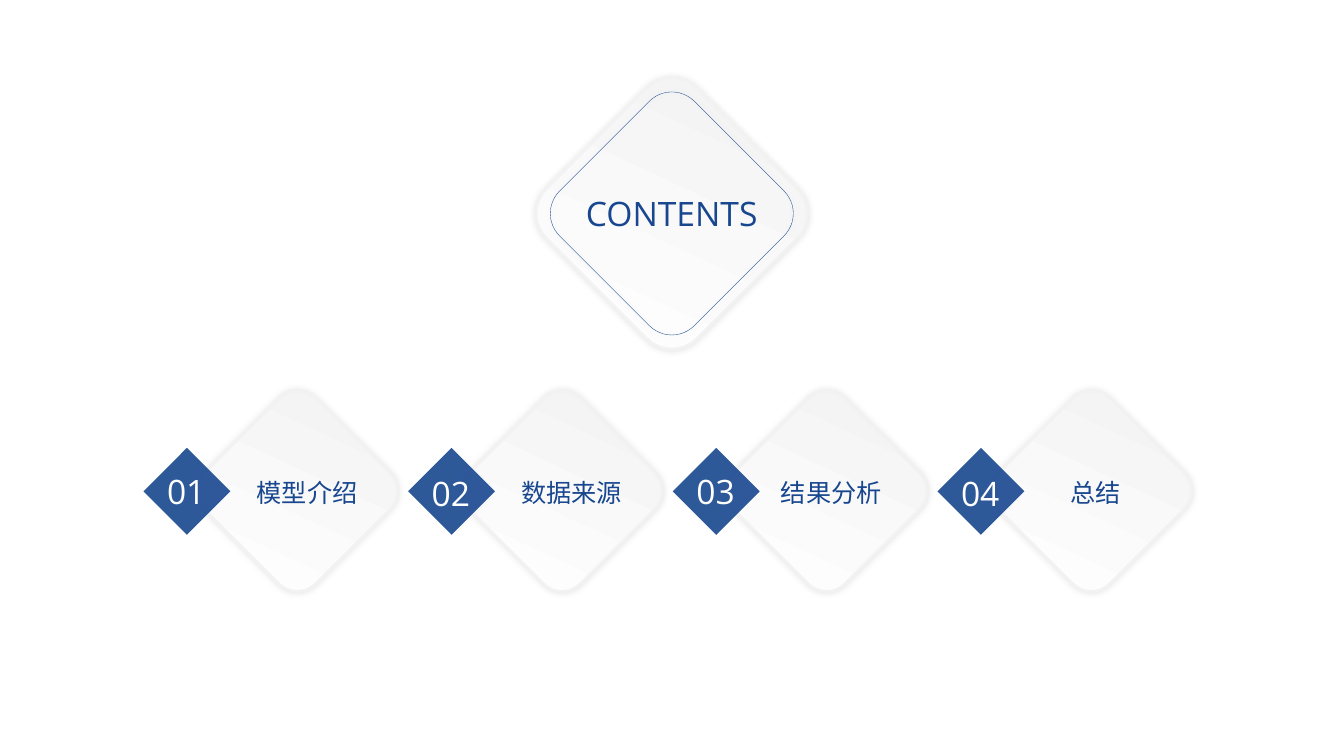
"""Build a contents slide: a title diamond above four numbered section diamonds."""
from copy import deepcopy

from lxml import etree
from pptx import Presentation
from pptx.dml.color import RGBColor
from pptx.enum.shapes import MSO_SHAPE
from pptx.enum.text import MSO_ANCHOR, MSO_AUTO_SIZE, PP_ALIGN
from pptx.oxml.ns import qn
from pptx.util import Cm, Pt

ROUND, RECT = MSO_SHAPE.ROUNDED_RECTANGLE, MSO_SHAPE.RECTANGLE
LEFT, CENTER = PP_ALIGN.LEFT, PP_ALIGN.CENTER
MIDDLE, GROW = MSO_ANCHOR.MIDDLE, MSO_AUTO_SIZE.SHAPE_TO_FIT_TEXT
COLORS = {"blue": "18478F", "white": "FFFFFF", "grey": "F2F2F2", "shadow": "000000"}
FONT = "Open Sans"


def rgb(name):
    return RGBColor.from_string(COLORS[name])


class Deck:
    def __init__(self):
        self.prs = Presentation()
        self.prs.slide_width, self.prs.slide_height = Cm(33.87), Cm(19.05)
        self.s = self.prs.slides.add_slide(self.prs.slide_layouts[6])

    def square(self, kind, cx, cy, size, rotation):
        sp = self.s.shapes.add_shape(
            kind, Cm(cx - size / 2), Cm(cy - size / 2), Cm(size), Cm(size))
        sp.rotation = rotation
        sp.shadow.inherit = False
        return sp

    def glow(self, sp):
        effects = sp._element.spPr.find(qn("a:effectLst"))
        shadow = etree.SubElement(effects, qn("a:outerShdw"), blurRad=str(Pt(5)),
                                  dist="0", dir="0", algn="ctr", rotWithShape="0")
        color = etree.SubElement(shadow, qn("a:srgbClr"), val=COLORS["shadow"])
        etree.SubElement(color, qn("a:alpha"), val="11000")

    def gradient(self, sp):
        sp.fill.gradient()
        sp.fill.gradient_angle = 110
        start, end = sp.fill.gradient_stops
        start.color.rgb, end.color.rgb = rgb("white"), rgb("grey")

        sp.line.width = Pt(2)
        sp.line.fill.solid()
        solid = sp.line._ln.find(qn("a:solidFill"))
        edge = deepcopy(sp._element.spPr.find(qn("a:gradFill")))
        sp.line._ln.replace(solid, edge)
        colors = edge.findall(".//" + qn("a:srgbClr"))
        for color, name in zip(colors, ("grey", "white")):
            color.set("val", COLORS[name])

    def tile(self, cx, cy, size):
        sp = self.square(ROUND, cx, cy, size, 45)
        self.gradient(sp)
        self.glow(sp)

    def frame(self, cx, cy, size):
        sp = self.square(ROUND, cx, cy, size, 45)
        sp.fill.background()
        sp.line.color.rgb = rgb("blue")
        sp.line.width = Pt(0.25)
        self.glow(sp)

    def badge(self, cx, cy, size):
        sp = self.square(RECT, cx, cy, size, 225)
        sp.fill.solid()
        sp.fill.fore_color.rgb = rgb("blue")
        color = sp._element.spPr.find(qn("a:solidFill"))[0]
        etree.SubElement(color, qn("a:alpha"), val="90000")
        sp.line.fill.background()

    def text(self, text, cx, cy, w, h, size, color="blue", align=CENTER, wrap=True):
        sp = self.s.shapes.add_textbox(Cm(cx - w / 2), Cm(cy - h / 2), Cm(w), Cm(h))
        tf = sp.text_frame
        tf.word_wrap, tf.auto_size, tf.vertical_anchor = wrap, GROW, MIDDLE
        p = tf.paragraphs[0]
        p.text, p.alignment = text, align
        p.font.name, p.font.size, p.font.color.rgb = FONT, Pt(size), rgb(color)


SECTIONS = [("模型介绍", 0.25, 12.37), ("数据来源", 0.25, 12.42),
            ("结果分析", 0.12, 12.37), ("总结", 0.12, 12.42)]
TITLE_X, TITLE_Y = 16.93, 5.38
TILE_X, BADGE_X, ROW_Y, PITCH = 7.49, 4.71, 12.38, 6.67

deck = Deck()
deck.tile(TITLE_X, TITLE_Y, 5.36)
deck.frame(TITLE_X, TITLE_Y, 4.8)
deck.text("CONTENTS", TITLE_X, TITLE_Y, 6.38, 1.28, 24)

for i, (label, shift, number_y) in enumerate(SECTIONS):
    tile_x, badge_x = TILE_X + i * PITCH, BADGE_X + i * PITCH
    deck.tile(tile_x, ROW_Y, 3.96)
    deck.badge(badge_x, ROW_Y, 1.55)
    deck.text(label, tile_x + shift, 12.42, 4.17, 1.02, 18)
    deck.text(f"{i + 1:02}", badge_x, number_y, 1.5, 1.28, 24, "white", LEFT, False)

deck.prs.save("out.pptx")
